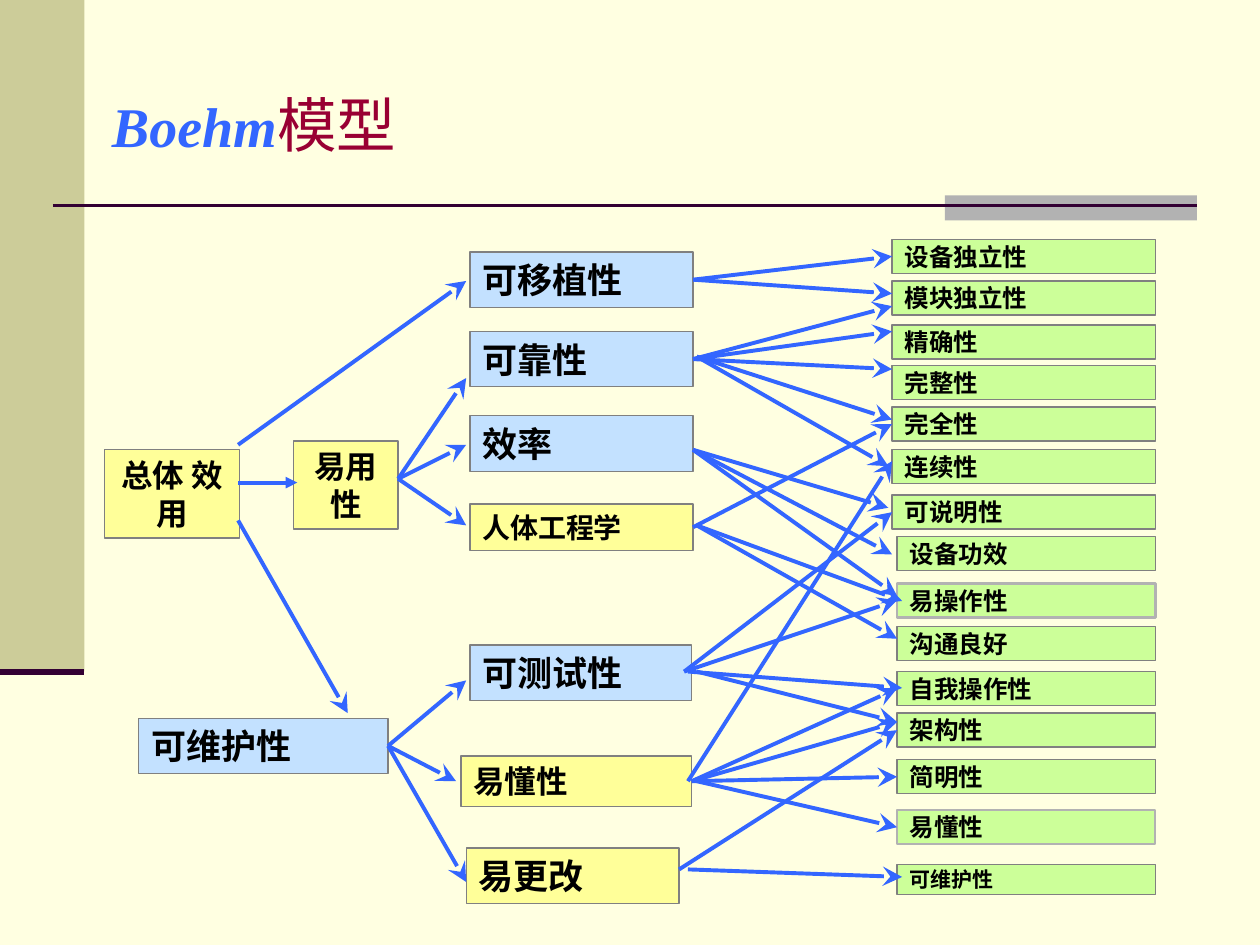
from math import hypot

from lxml import etree
from pptx import Presentation
from pptx.dml.color import RGBColor
from pptx.enum.shapes import MSO_CONNECTOR, MSO_SHAPE
from pptx.enum.text import MSO_ANCHOR, PP_ALIGN
from pptx.oxml.ns import qn
from pptx.util import Inches, Pt

RECT = MSO_SHAPE.RECTANGLE
STRAIGHT = MSO_CONNECTOR.STRAIGHT
MIDDLE = MSO_ANCHOR.MIDDLE
LEFT, CENTER = PP_ALIGN.LEFT, PP_ALIGN.CENTER

CREAM = RGBColor(0xFF, 0xFF, 0xE1)
KHAKI = RGBColor(0xCC, 0xCC, 0x99)
SILVER = RGBColor(0xB2, 0xB2, 0xB2)
GRAY = RGBColor(0x80, 0x80, 0x80)
PLUM = RGBColor(0x33, 0x00, 0x33)
BLUE = RGBColor(0x33, 0x66, 0xFF)
CRIMSON = RGBColor(0x99, 0x00, 0x33)
BLACK = RGBColor(0x00, 0x00, 0x00)
SKY = RGBColor(0xC3, 0xE1, 0xFF)
YELLOW = RGBColor(0xFF, 0xFF, 0x99)
GREEN = RGBColor(0xCC, 0xFF, 0x99)

# text, left, top, width, height, fill, size, font, alignment
FACTORS = [
    ("总体 效用", 0.83, 3.57, 1.07, 0.7, YELLOW, 18, "Arial", CENTER),
    ("易用性", 2.33, 3.5, 0.83, 0.7, YELLOW, 18, "Arial", CENTER),
    ("可维护性", 1.1, 5.7, 1.98, 0.44, SKY, 20, "Arial", LEFT),
    ("可移植性", 3.73, 2, 1.77, 0.44, SKY, 20, "Arial", LEFT),
    ("可靠性", 3.73, 2.63, 1.77, 0.44, SKY, 20, "Arial", LEFT),
    ("效率", 3.73, 3.3, 1.77, 0.44, SKY, 20, "Arial", LEFT),
    ("人体工程学", 3.73, 4, 1.77, 0.37, YELLOW, 16, "Arial Narrow", LEFT),
    ("可测试性", 3.73, 5.12, 1.76, 0.44, SKY, 20, "Arial", LEFT),
    ("易懂性", 3.66, 6, 1.83, 0.4, YELLOW, 18, "Arial Narrow", LEFT),
    ("易更改", 3.7, 6.73, 1.69, 0.44, YELLOW, 20, "Arial", LEFT),
]

CRITERIA_RIGHT = 9.17
# left edge -> (text, top)
CRITERIA = {
    7.08: [("设备独立性", 1.9), ("模块独立性", 2.23), ("精确性", 2.58),
           ("完整性", 2.9), ("完全性", 3.23), ("连续性", 3.57), ("可说明性", 3.93)],
    7.12: [("设备功效", 4.26), ("易操作性", 4.63), ("沟通良好", 4.97),
           ("自我操作性", 5.33), ("架构性", 5.66), ("简明性", 6.03),
           ("易懂性", 6.43), ("可维护性", 6.86)],
}
PALE_OUTLINES = {"易操作性": 1.5, "易懂性": 1.25}

# start point -> end points
ARROWS = {
    (1.89, 3.53): [(3.7, 2.23)],
    (1.89, 4.13): [(2.76, 5.66)],
    (3.16, 3.8): [(3.7, 3), (3.7, 3.53), (3.7, 4.17)],
    (3.08, 5.93): [(3.7, 5.4), (3.62, 6.2), (3.7, 7)],
    (5.5, 2.23): [(7.08, 2.03), (7.08, 2.33)],
    (5.5, 2.83): [(7.08, 2.63), (7.08, 2.93), (7.08, 2.43)],
    (5.53, 2.83): [(7.08, 3.33), (7.05, 3.7)],
    (5.5, 3.57): [(7.08, 4.4), (7.12, 4.73), (7.05, 4.03)],
    (5.5, 4.17): [(7.08, 3.36)],
    (5.53, 4.17): [(7.16, 4.77), (7.12, 5.07)],
    (5.46, 5.33): [(7.16, 5.46)],
    (5.53, 5.33): [(7.12, 5.73)],
    (5.5, 6.2): [(7.12, 5.46), (7.12, 6.16), (7.12, 5.73)],
    (5.53, 6.2): [(7.12, 6.57)],
    (5.39, 6.9): [(7.12, 5.8)],
    (5.46, 6.9): [(7.16, 6.96)],
    (5.46, 6.2): [(7.08, 3.66)],
    (5.43, 5.33): [(7.08, 4.07), (7.12, 4.77)],
}


class Diagram:
    """Holds the style, the current slide and the boxes arrows may join."""

    join_distance = 0.025

    def __init__(self, page):
        self.page = page
        self.sides = []
        page.background.fill.solid()
        page.background.fill.fore_color.rgb = CREAM

    def block(self, left, top, width, height, fill):
        shape = self.page.shapes.add_shape(
            RECT, Inches(left), Inches(top), Inches(width), Inches(height))
        shape.shadow.inherit = False
        shape.fill.solid()
        shape.fill.fore_color.rgb = fill
        shape.line.fill.background()
        return shape

    def title(self, spans, left, top, width, height):
        box = self.page.shapes.add_textbox(
            Inches(left), Inches(top), Inches(width), Inches(height))
        frame = box.text_frame
        frame.word_wrap = True
        frame.vertical_anchor = MIDDLE
        for text, size, color, accent in spans:
            span = frame.paragraphs[0].add_run()
            span.text = text
            span.font.name = "Times New Roman"
            span.font.size = Pt(size)
            span.font.color.rgb = color
            span.font.bold = span.font.italic = accent

    def box(self, text, left, top, width, height, fill, size, font="Arial",
            align=LEFT, inset=0.05, outline=GRAY, weight=0.75):
        shape = self.block(left, top, width, height, fill)
        shape.line.color.rgb = outline
        shape.line.width = Pt(weight)
        frame = shape.text_frame
        frame.word_wrap = True
        frame.vertical_anchor = MIDDLE
        frame.margin_top = frame.margin_bottom = Inches(inset)
        para = frame.paragraphs[0]
        para.text = text
        para.alignment = align
        para.font.name = font
        para.font.size = Pt(size)
        para.font.bold = True
        para.font.color.rgb = BLACK
        middle = top + height / 2
        self.sides += [(shape, 1, left, middle), (shape, 3, left + width, middle)]

    def line(self, start, end, color, weight):
        connector = self.page.shapes.add_connector(
            STRAIGHT, *(Inches(value) for value in (*start, *end)))
        connector.line.color.rgb = color
        connector.line.width = Pt(weight)
        etree.SubElement(connector._element.spPr, qn("a:effectLst"))
        return connector

    def side_at(self, point):
        """Return the box and site whose side middle lies at the point."""
        for shape, site, x, y in self.sides:
            if hypot(point[0] - x, point[1] - y) <= self.join_distance:
                return shape, site
        return None

    def arrow(self, start, end, head="stealth", head_size="lg"):
        connector = self.line(start, end, BLUE, 2.25)
        etree.SubElement(connector.line._get_or_add_ln(), qn("a:tailEnd"),
                         type=head, w=head_size, len=head_size)
        for point, join in ((start, connector.begin_connect),
                            (end, connector.end_connect)):
            side = self.side_at(point)
            if side:
                join(*side)


def main():
    deck = Presentation()
    deck.slide_width, deck.slide_height = Inches(10), Inches(7.5)
    diagram = Diagram(deck.slides.add_slide(deck.slide_layouts[6]))

    diagram.block(0, 0, 0.67, 5.33, KHAKI)
    diagram.block(7.5, 1.55, 2, 0.2, SILVER)
    diagram.line((0.42, 1.63), (9.5, 1.63), PLUM, 1.5)
    diagram.line((0, 5.33), (0.67, 5.33), PLUM, 3.5)
    diagram.title([("Boehm", 32, BLUE, True), ("模型", 34, CRIMSON, False)],
                  0.79, 0.64, 7.15, 0.68)

    for factor in FACTORS:
        diagram.box(*factor)
    for left, rows in CRITERIA.items():
        for text, top in rows:
            last = (text, top) == rows[-1] and text == "可维护性"
            height, size = (0.24, 12) if last else (0.27, 14)
            pale = text in PALE_OUTLINES
            diagram.box(text, left, top, CRITERIA_RIGHT - left, height, GREEN, size,
                        inset=0.02, outline=SILVER if pale else GRAY,
                        weight=PALE_OUTLINES.get(text, 0.75))

    diagram.arrow((1.89, 3.83), (2.36, 3.83), "triangle", "med")
    for start, ends in ARROWS.items():
        for end in ends:
            diagram.arrow(start, end)

    deck.save("out.pptx")


if __name__ == "__main__":
    main()
